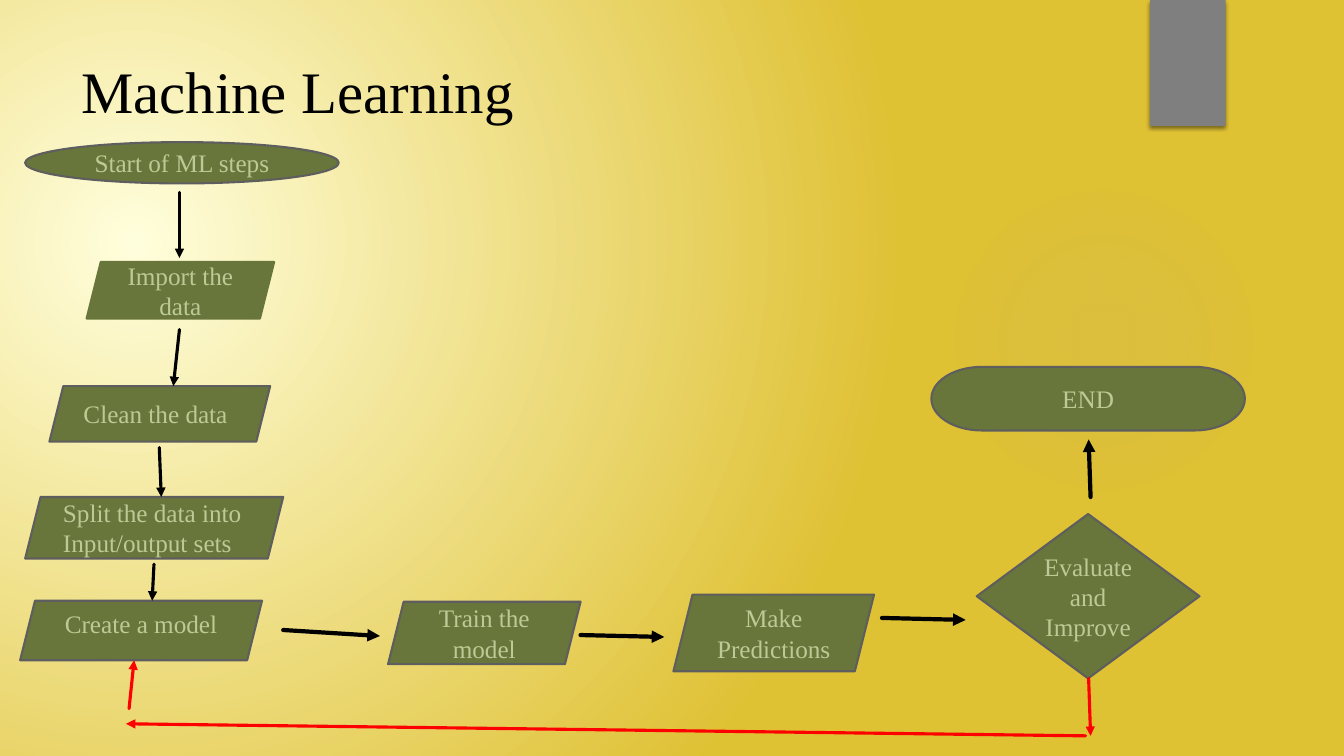
from lxml.etree import SubElement
from pptx import Presentation
from pptx.dml.color import RGBColor
from pptx.enum.shapes import MSO_CONNECTOR, MSO_SHAPE
from pptx.enum.text import MSO_ANCHOR, PP_ALIGN
from pptx.oxml import parse_xml
from pptx.oxml.ns import nsdecls, qn
from pptx.util import Pt

COLORS = {
    "glow": "FFFEDC", "gold": "DFC134", "ring": "B2B2B2", "tab": "7F7F7F",
    "step": "68753B", "outline": "5E5E5E", "label": "BECA95",
    "black": "000000", "red": "FF0000",
}


def write_text(box, text, size=18, color="label", align=PP_ALIGN.CENTER, bottom=3.6):
    frame = box.text_frame
    frame.word_wrap = True
    frame.vertical_anchor = MSO_ANCHOR.MIDDLE
    frame.margin_bottom = Pt(bottom)
    para = frame.paragraphs[0]
    para.alignment = align
    span = para.add_run()
    span.text = text
    span.font.name = "Times New Roman"
    span.font.size = Pt(size)
    span.font.color.rgb = RGBColor.from_string(COLORS[color])


def make_radial(owner, stops, focus):
    """Turn the solid fill of owner into a circular gradient."""
    stop_xml = "".join(
        f'<a:gs pos="{place * 1000}"><a:srgbClr val="{COLORS[color]}">'
        f'<a:alpha val="{opacity * 1000}"/></a:srgbClr></a:gs>'
        for place, color, opacity in stops)
    left, top, right, bottom = (side * 1000 for side in focus)
    gradient = parse_xml(
        f'<a:gradFill {nsdecls("a")} rotWithShape="1"><a:gsLst>{stop_xml}</a:gsLst>'
        f'<a:path path="circle"><a:fillToRect l="{left}" t="{top}" r="{right}" '
        f'b="{bottom}"/></a:path></a:gradFill>')
    solid = owner.find(".//" + qn("a:solidFill"))
    solid.getparent().replace(solid, gradient)


deck = Presentation()
deck.slide_width, deck.slide_height = Pt(960), Pt(540)
page = deck.slides.add_slide(deck.slide_layouts[6])

# Background
page.background.fill.solid()
page.background.fill.fore_color.rgb = RGBColor.from_string(COLORS["gold"])
make_radial(page.element, [(0, "glow", 100), (100, "gold", 100)], (45, 65, 125, 100))

# Faint ring and corner tab
ring = page.shapes.add_shape(MSO_SHAPE.OVAL, Pt(677.5), Pt(131.8), Pt(221.8), Pt(221.8))
ring.shadow.inherit = False
ring.line.fill.background()
ring.fill.solid()
make_radial(ring.element, [(0, "ring", 7), (36, "ring", 6), (69, "ring", 0)], (50, 50, 50, 50))

tab = page.shapes.add_shape(MSO_SHAPE.RECTANGLE, Pt(821.5), Pt(0), Pt(54), Pt(90))
tab.shadow.inherit = False
tab.line.fill.background()
tab.fill.solid()
tab.fill.fore_color.rgb = RGBColor.from_string(COLORS["tab"])
tab.element.spPr.find(qn("a:effectLst")).append(parse_xml(
    f'<a:outerShdw {nsdecls("a")} blurRad="{Pt(3)}" dist="{Pt(2)}" dir="5400000">'
    f'<a:srgbClr val="{COLORS["black"]}"><a:alpha val="45000"/></a:srgbClr></a:outerShdw>'))

# Title
title = page.shapes.add_textbox(Pt(51), Pt(36), Pt(417), Pt(65))
write_text(title, "Machine Learning", size=42, color="black", align=PP_ALIGN.LEFT, bottom=12)

# Flowchart steps: shape, left, top, width, height, outline, text, format
SLANTED = MSO_SHAPE.PARALLELOGRAM
LEFT = {"align": PP_ALIGN.LEFT}
steps = [
    (MSO_SHAPE.OVAL, 18, 101.5, 224, 29.5, "outline", "Start of ML steps", {}),
    (SLANTED, 61.9, 187.2, 133.9, 40.3, "step", "Import the data", {}),
    (SLANTED, 35.3, 275.8, 157.7, 39.6, "outline", "Clean the data", LEFT),
    (SLANTED, 18, 355, 184.3, 43.9, "outline", "Split the data into Input/output sets", LEFT),
    (SLANTED, 14.4, 429.1, 172.8, 42.5, "outline", "Create a model", {"bottom": 13}),
    (SLANTED, 277.2, 429.8, 137.5, 44.6, "outline", "Train the model", {}),
    (SLANTED, 481, 424.8, 143.3, 54.7, "outline", "Make Predictions", {}),
    (MSO_SHAPE.DIAMOND, 697.7, 367.2, 159.1, 117.4, "outline", "Evaluate and Improve", {}),
    (MSO_SHAPE.FLOWCHART_TERMINATOR, 665.3, 262.1, 223.9, 45.4, "outline", "END", {}),
]
for kind, left, top, width, height, outline, text, text_format in steps:
    step = page.shapes.add_shape(kind, Pt(left), Pt(top), Pt(width), Pt(height))
    step.shadow.inherit = False
    step.fill.solid()
    step.fill.fore_color.rgb = RGBColor.from_string(COLORS["step"])
    step.line.color.rgb = RGBColor.from_string(COLORS[outline])
    step.line.width = Pt(1.5)
    write_text(step, text, **text_format)

# Arrows: start x, start y, end x, end y, colour, width
arrows = [
    (128.2, 137.5, 128.2, 184.3, "black", 2.25),
    (128.2, 235.4, 123.8, 275.8, "black", 2.25),
    (113.8, 319.7, 115.2, 355, "black", 2.25),
    (110, 403, 108.7, 429.1, "black", 2.25),
    (202.3, 450, 271.4, 454.3, "black", 3),
    (414.7, 453.6, 474.5, 455, "black", 3),
    (630, 441.4, 689.8, 442.8, "black", 3),
    (779, 355, 777.6, 313.9, "black", 3),
    (92.2, 506.2, 95.8, 471.6, "red", 2.25),
    (775.4, 525.6, 90, 517, "red", 2.25),
    (777.6, 484.6, 779, 525.6, "red", 2.25),
]
for start_x, start_y, end_x, end_y, color, width in arrows:
    arrow = page.shapes.add_connector(
        MSO_CONNECTOR.STRAIGHT, Pt(start_x), Pt(start_y), Pt(end_x), Pt(end_y))
    arrow.line.color.rgb = RGBColor.from_string(COLORS[color])
    arrow.line.width = Pt(width)
    properties = arrow.element.spPr
    stroke = properties.find(qn("a:ln"))
    stroke.set("cap", "rnd")
    SubElement(stroke, qn("a:tailEnd"), type="triangle")
    SubElement(properties, qn("a:effectLst"))

deck.save("out.pptx")
